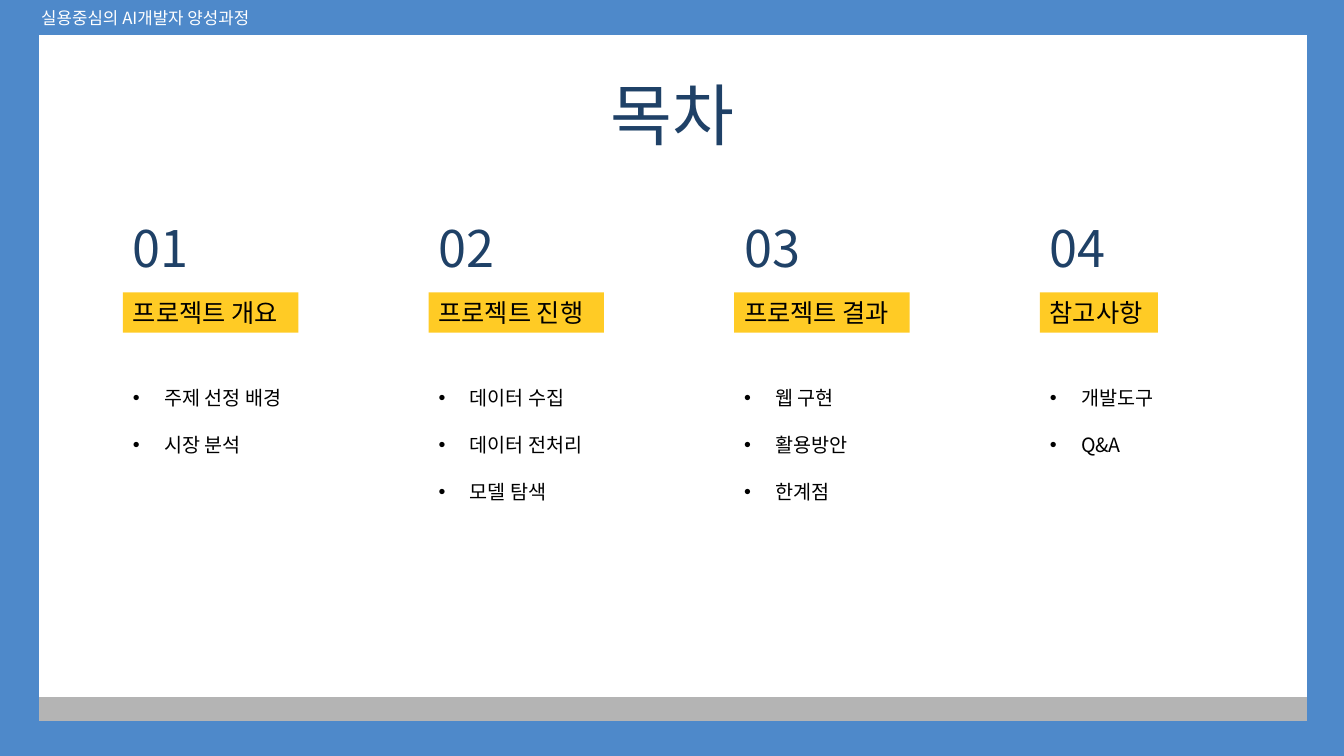
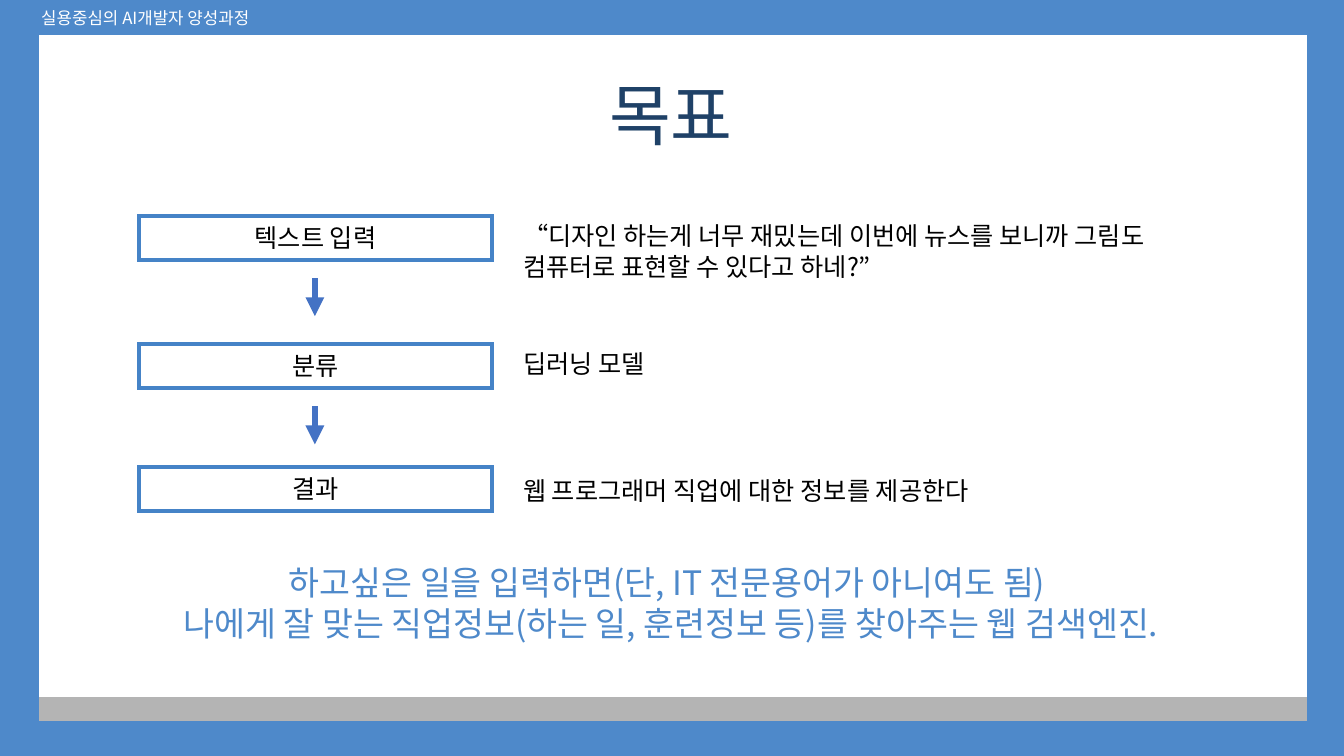
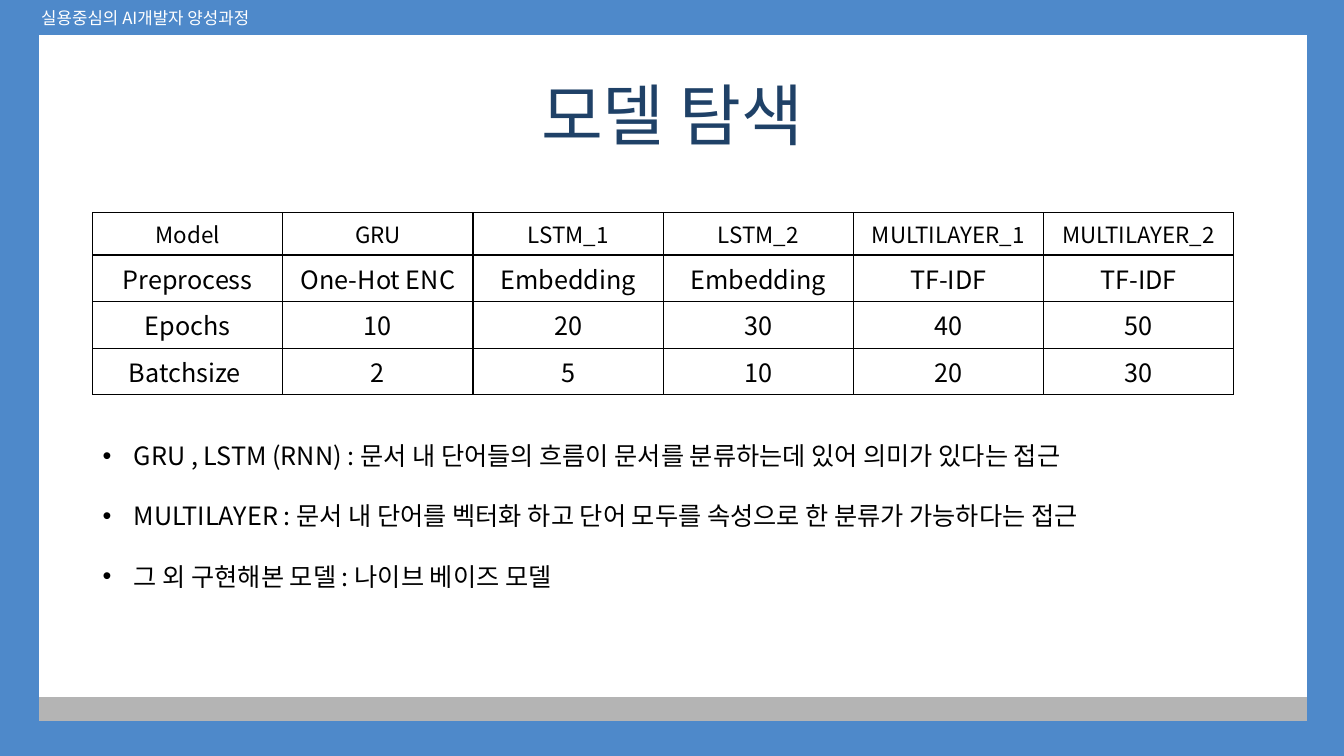
from lxml import etree
from pptx import Presentation
from pptx import util as u
from pptx.dml.color import RGBColor
from pptx.enum import shapes, text
from pptx.oxml import ns

FONT = "Noto Sans CJK KR"
BLACK = RGBColor(0x00, 0x00, 0x00)
WHITE = RGBColor(0xFF, 0xFF, 0xFF)
NAVY = RGBColor(0x1F, 0x41, 0x67)
BLUE = RGBColor(0x4E, 0x89, 0xCA)
BOX_BLUE = RGBColor(0x45, 0x83, 0xC7)
ARROW_BLUE = RGBColor(0x44, 0x72, 0xC4)
GRAY = RGBColor(0xB4, 0xB4, 0xB4)
YELLOW = RGBColor(0xFF, 0xCB, 0x25)

WIDTH = u.Inches(13.33)
HEIGHT = u.Inches(7.5)
LEFT = text.PP_ALIGN.LEFT
CENTER = text.PP_ALIGN.CENTER
TOP = text.MSO_ANCHOR.TOP
MIDDLE = text.MSO_ANCHOR.MIDDLE


def across(percent):
    return int(WIDTH * percent / 100)


def down(percent):
    return int(HEIGHT * percent / 100)


def place(left, top, width, height):
    return across(left), down(top), across(width), down(height)


def add_xml(parent, tag, **attributes):
    return etree.SubElement(parent, ns.qn(tag), attributes)


def add_run(paragraph, words, size, color):
    run = paragraph.add_run()
    run.text = words
    run.font.size = u.Pt(size)
    run.font.color.rgb = color
    run.font.name = FONT
    add_xml(run.font._element, "a:ea", typeface=FONT)


def add_bullet(paragraph):
    properties = paragraph._p.get_or_add_pPr()
    properties.set("marL", str(u.Inches(0.31)))
    properties.set("indent", str(-u.Inches(0.31)))
    add_xml(properties, "a:buFont", typeface="Arial")
    add_xml(properties, "a:buChar", char="•")


def write(shape, lines, size, color=BLACK, align=LEFT, anchor=TOP, wrap=True,
          bullets=False, spacing=None, gap=0):
    frame = shape.text_frame
    frame.word_wrap = wrap
    frame.auto_size = text.MSO_AUTO_SIZE.NONE
    frame.vertical_anchor = anchor
    for index, words in enumerate(lines):
        paragraph = frame.add_paragraph() if index else frame.paragraphs[0]
        paragraph.alignment = align
        if bullets:
            add_bullet(paragraph)
        if spacing:
            paragraph.line_spacing = spacing
        if index and gap:
            paragraph.space_before = u.Pt(gap)
        add_run(paragraph, words, size, color)


def add_text(parent, box, lines, size, **style):
    shape = parent.shapes.add_textbox(*place(*box))
    write(shape, lines, size, **style)
    return shape


def add_box(parent, box, kind=shapes.MSO_SHAPE.RECTANGLE, fill=None, line=None, weight=1):
    shape = parent.shapes.add_shape(kind, *place(*box))
    shape.shadow.inherit = False
    if fill is None:
        shape.fill.background()
    else:
        shape.fill.solid()
        shape.fill.fore_color.rgb = fill
    if line is None:
        shape.line.fill.background()
    else:
        shape.line.color.rgb = line
        shape.line.width = u.Pt(weight)
        add_xml(shape.line._get_or_add_ln(), "a:miter", lim="800000")
    return shape


def add_line(slide, start, end, color, weight, arrow=False):
    line = slide.shapes.add_connector(
        shapes.MSO_CONNECTOR.STRAIGHT,
        across(start[0]), down(start[1]), across(end[0]), down(end[1]))
    line.line.color.rgb = color
    line.line.width = u.Pt(weight)
    if arrow:
        add_xml(line.line._get_or_add_ln(), "a:tailEnd", type="triangle")
    add_xml(line._element.spPr, "a:effectLst")
    return line


def add_table(slide, box, rows, sizes):
    shape = slide.shapes.add_table(len(rows), len(rows[0]), *place(*box))
    table = shape.table
    table.first_row = False
    table.horz_banding = False
    for row, (values, size) in enumerate(zip(rows, sizes)):
        for column, words in enumerate(values):
            cell = table.cell(row, column)
            properties = cell._tc.get_or_add_tcPr()
            for side in ("a:lnL", "a:lnR", "a:lnT", "a:lnB"):
                border = add_xml(properties, side, w=str(u.Pt(1)))
                add_xml(add_xml(border, "a:solidFill"), "a:srgbClr", val=str(BLACK))
            cell.fill.solid()
            cell.fill.fore_color.rgb = WHITE
            paragraph = cell.text_frame.paragraphs[0]
            paragraph.alignment = CENTER
            add_run(paragraph, words, size, BLACK)


def dress_layout(slide, layout):
    parts = [
        add_line(slide, (2.33, 94.93), (97.73, 94.93), GRAY, 30),
        add_box(slide, (1.43, 2, 97.28, 96), line=BLUE, weight=28),
        add_text(slide, (2.33, 0.4, 17.85, 4), ["실용중심의 AI개발자 양성과정"], 12,
                 color=WHITE, wrap=False),
    ]
    for part in parts:
        layout.shapes.element.append(part.element)


def add_slide(presentation, title, left=22.65, width=54.75):
    slide = presentation.slides.add_slide(presentation.slide_layouts[5])
    shape = slide.shapes.title
    shape.left, shape.top, shape.width, shape.height = place(left, 10.27, width, 10.93)
    write(shape, [title], 48, color=NAVY, align=CENTER, anchor=MIDDLE, spacing=0.9)
    return slide


def add_chapter(slide, index, heading, label_width, topics):
    left = 9.15 + 22.74 * index
    group = slide.shapes.add_group_shape()
    add_text(group, (left, 28.13, 6.15, 9.47), [f"{index + 1:02}"], 36, color=NAVY)
    label = add_box(group, (left, 38.67, label_width, 5.33), fill=YELLOW)
    write(label, [heading], 18, wrap=False)
    add_text(group, (left, 47.33, 14.63, 0.4 + 6.27 * len(topics)), topics, 14,
             bullets=True, spacing=2)


def build_contents(presentation):
    slide = add_slide(presentation, "목차")
    dress_layout(slide, slide.slide_layout)
    chapters = [
        ("프로젝트 개요", 13.05, ["주제 선정 배경", "시장 분석"]),
        ("프로젝트 진행", 13.05, ["데이터 수집", "데이터 전처리", "모델 탐색"]),
        ("프로젝트 결과", 13.05, ["웹 구현", "활용방안", "한계점"]),
        ("참고사항", 8.78, ["개발도구", "Q&A"]),
    ]
    for index, chapter in enumerate(chapters):
        add_chapter(slide, index, *chapter)


def build_goal(presentation):
    slide = add_slide(presentation, "목표", 2.7, 94.43)
    steps = [
        (28.53, "텍스트 입력", 28.53, 13.47,
         "“디자인 하는게 너무 재밌는데 이번에 뉴스를 보니까 그림도 컴퓨터로 표현할 수 있다고 하네?”"),
        (45.47, "분류", 45.47, 5.33, "딥러닝 모델"),
        (61.73, "결과", 62.27, 5.33, "웹 프로그래머 직업에 대한 정보를 제공한다"),
    ]
    for top, name, note_top, note_height, note in steps:
        step = add_box(slide, (10.35, top, 26.25, 5.87),
                       shapes.MSO_SHAPE.FLOWCHART_PROCESS, WHITE, BOX_BLUE, 3)
        write(step, [name], 18, align=CENTER, anchor=MIDDLE)
        add_text(slide, (38.18, note_top, 51.9, note_height), [note], 18)
    for top, *_ in steps[:-1]:
        add_line(slide, (23.43, top + 8.3), (23.43, top + 13.3), ARROW_BLUE, 4.5, arrow=True)
    summary = [
        "하고싶은 일을 입력하면(단, IT 전문용어가 아니여도 됨) ",
        "나에게 잘 맞는 직업정보(하는 일, 훈련정보 등)를 찾아주는 웹 검색엔진.",
    ]
    add_text(slide, (2.7, 73.73, 94.43, 16.13), summary, 24, color=BLUE, align=CENTER)


def build_models(presentation):
    slide = add_slide(presentation, "모델 탐색")
    rows = [
        ["Model", "GRU", "LSTM_1", "LSTM_2", "MULTILAYER_1", "MULTILAYER_2"],
        ["Preprocess", "One-Hot ENC", "Embedding", "Embedding", "TF-IDF", "TF-IDF"],
        ["Epochs", "10", "20", "30", "40", "50"],
        ["Batchsize ", "2", "5", "10", "20", "30"],
    ]
    add_table(slide, (6.9, 28.13, 84.9, 21.87), rows, [16, 18, 18, 18])
    notes = [
        "GRU , LSTM (RNN) : 문서 내 단어들의 흐름이 문서를 분류하는데 있어 의미가 있다는 접근",
        "MULTILAYER : 문서 내 단어를 벡터화 하고 단어 모두를 속성으로 한 분류가 가능하다는 접근",
        "그 외 구현해본 모델 : 나이브 베이즈 모델",
    ]
    add_text(slide, (6.9, 57.6, 84.9, 21), notes, 18, bullets=True, gap=21.5)


def main():
    presentation = Presentation()
    presentation.slide_width = WIDTH
    presentation.slide_height = HEIGHT
    build_contents(presentation)
    build_goal(presentation)
    build_models(presentation)
    presentation.save("out.pptx")


if __name__ == "__main__":
    main()
